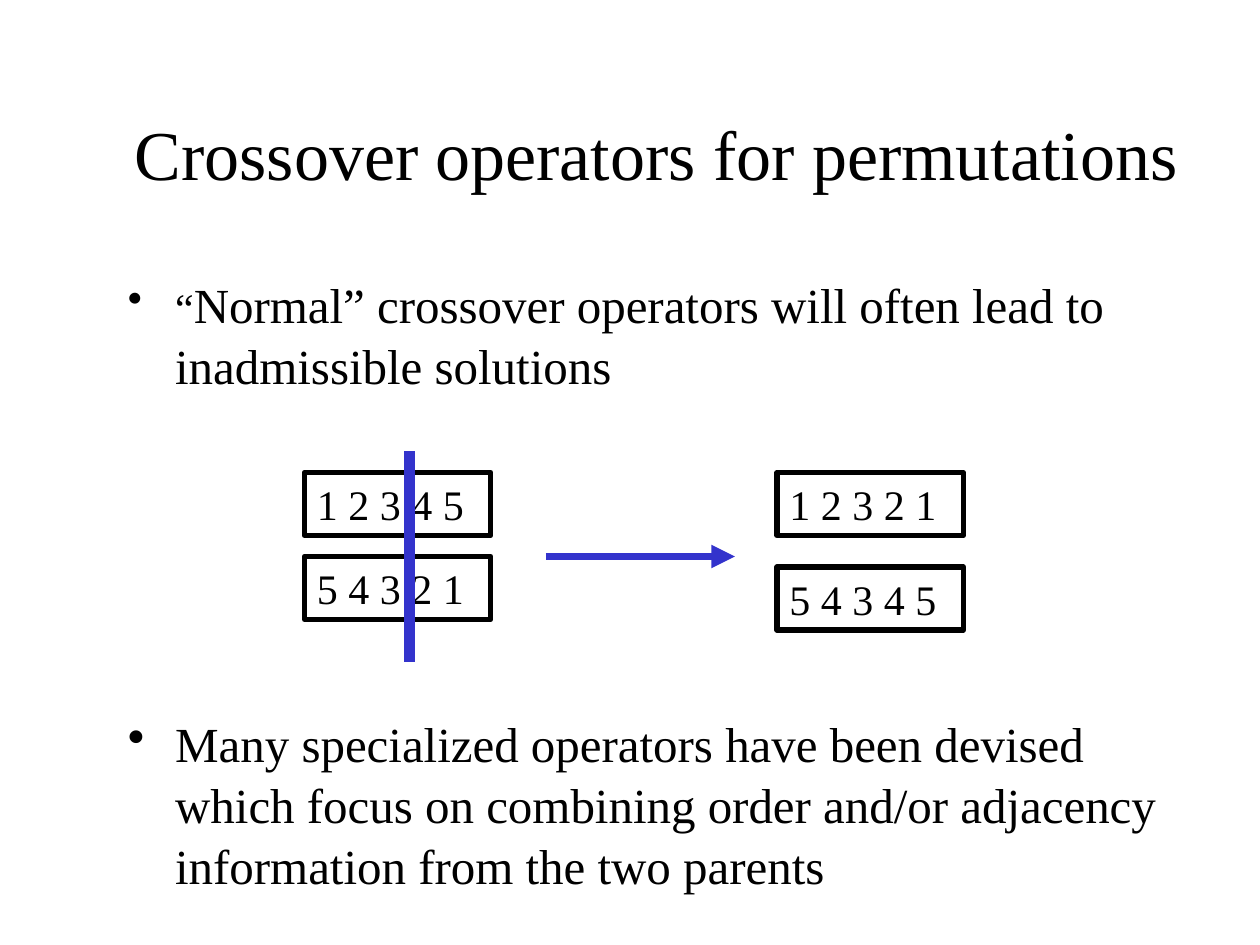
import pptx
import pptx.util
import pptx.dml.color
import pptx.enum.shapes
import pptx.enum.text
import pptx.oxml.xmlchemy

Pt = pptx.util.Pt
HUES = {"ink": "000000", "mark": "3333CC"}
FACE = "Times New Roman"


def hue(name):
    return pptx.dml.color.RGBColor.from_string(HUES[name])


def make(tag, **attrs):
    item = pptx.oxml.xmlchemy.OxmlElement(tag)
    for key, value in attrs.items():
        item.set(key, value)
    return item


def style(font, size):
    font.name, font.size = FACE, Pt(size)
    font.color.rgb = hue("ink")


def add_text(slide, x, y, w, h):
    frame = slide.shapes.add_textbox(Pt(x), Pt(y), Pt(w), Pt(h)).text_frame
    frame.word_wrap = True
    return frame


def add_title(slide, x, y, w, h, text):
    frame = add_text(slide, x, y, w, h)
    frame.vertical_anchor = pptx.enum.text.MSO_ANCHOR.MIDDLE
    para = frame.paragraphs[0]
    para.text = text
    para.alignment = pptx.enum.text.PP_ALIGN.CENTER
    style(para.font, 40)


def add_points(slide, x, y, w, h, points, gap):
    """Bulleted points, with a gap between them for the diagram."""
    frame = add_text(slide, x, y, w, h)
    frame.margin_top = Pt(5.5)
    for i, runs in enumerate(points):
        para = frame.add_paragraph() if i else frame.paragraphs[0]
        para.space_before = Pt(gap if i else 0)
        para.line_spacing = 1.04
        for text, size in runs:
            run = para.add_run()
            run.text = text
            style(run.font, size)
        props = para._p.get_or_add_pPr()
        props.set("marL", str(Pt(27)))
        props.set("indent", str(-Pt(27)))
        props.append(make("a:buChar", char="•"))


def add_gene(slide, x, y, text):
    box = slide.shapes.add_shape(pptx.enum.shapes.MSO_SHAPE.RECTANGLE,
                                 Pt(x), Pt(y), Pt(106.5), Pt(36))
    box.shadow.inherit = False
    box.fill.background()
    box.line.color.rgb = hue("ink")
    box.line.width = Pt(3)
    frame = box.text_frame
    frame.word_wrap = True
    frame.vertical_anchor = pptx.enum.text.MSO_ANCHOR.TOP
    para = frame.paragraphs[0]
    para.text = text
    para.alignment = pptx.enum.text.PP_ALIGN.LEFT
    style(para.font, 24)


def add_line(slide, x1, y1, x2, y2, width, arrow=False):
    line = slide.shapes.add_connector(
        pptx.enum.shapes.MSO_CONNECTOR.STRAIGHT,
        Pt(x1), Pt(y1), Pt(x2), Pt(y2))
    line.line.color.rgb = hue("mark")
    line.line.width = Pt(width)
    props = line._element.spPr
    if arrow:
        props.ln.append(make("a:tailEnd", type="triangle"))
    props.append(make("a:effectLst"))


def add_cross(slide, x, y):
    """Two parents cut at one point, and the two children they yield."""
    pairs = [(0, 48, ("1 2 3 4 5", "5 4 3 2 1")),
             (270, 54, ("1 2 3 2 1", "5 4 3 4 5"))]
    for left, step, genes in pairs:
        for i, gene in enumerate(genes):
            add_gene(slide, x + left, y + 12 + i * step, gene)
    # Cut line and arrow to the children
    add_line(slide, x + 60, y, x + 60, y + 120, 6)
    add_line(slide, x + 138, y + 60, x + 246, y + 60, 4.5, arrow=True)


def main():
    deck = pptx.Presentation()
    deck.slide_width, deck.slide_height = Pt(720), Pt(540)
    slide = deck.slides.add_slide(deck.slide_layouts[6])
    points = [
        [("“", 24), ("Normal” crossover operators will often lead to "
                     "inadmissible solutions", 28)],
        [("Many specialized operators have been devised which focus on "
          "combining order and/or adjacency information from the two "
          "parents", 28)],
    ]
    add_points(slide, 66, 150, 630, 378, points, gap=181)
    add_title(slide, 60, 60, 630, 54, "Crossover operators for permutations")
    add_cross(slide, 174, 258)
    deck.save("out.pptx")


if __name__ == "__main__":
    main()
